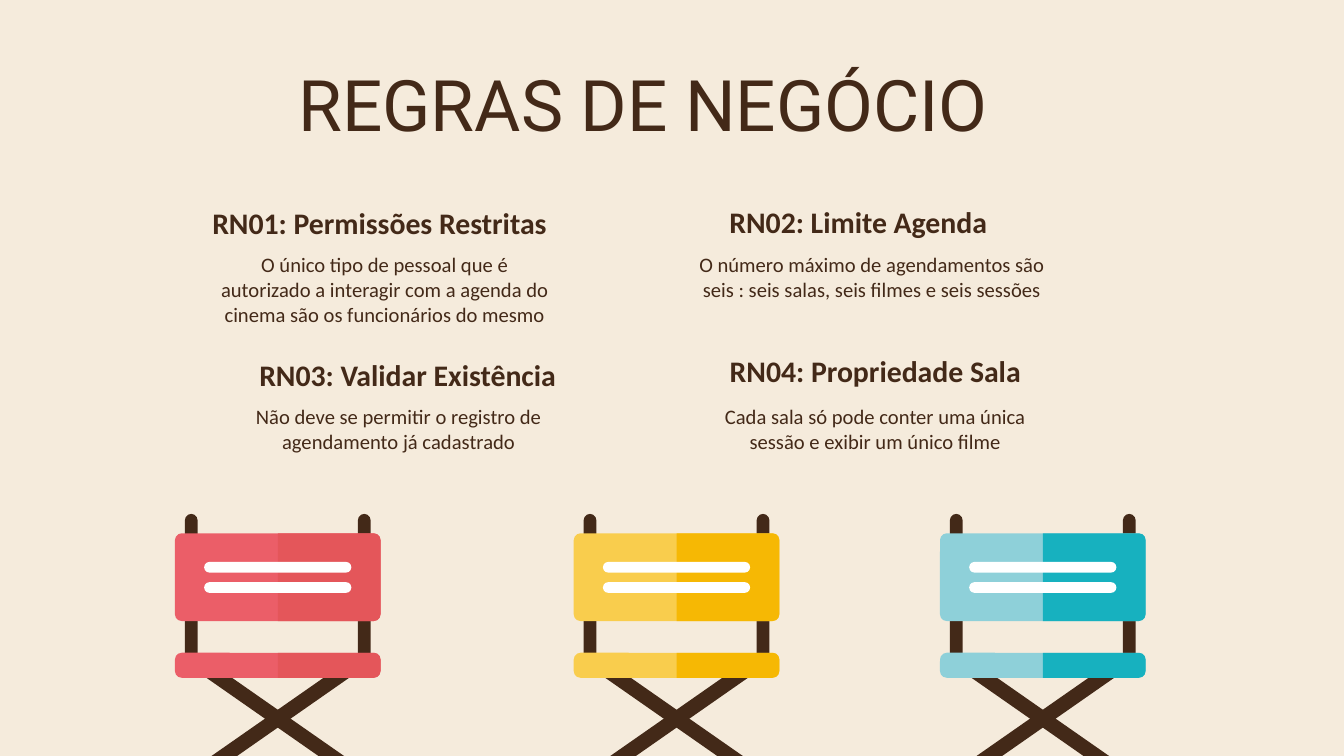
from dataclasses import dataclass

from pptx import Presentation
from pptx.dml.color import RGBColor
from pptx.enum.shapes import MSO_SHAPE as Preset
from pptx.enum.text import MSO_ANCHOR as Anchor, MSO_AUTO_SIZE as AutoSize, PP_ALIGN as Align
from pptx.oxml.ns import qn
from pptx.util import Cm, Pt


@dataclass(frozen=True)
class Theme:
    background: str = "F5EBDC"
    brown: str = "432918"
    white: str = "FFFFFF"
    title_font: str = "Roboto"
    text_font: str = "Calibri"
    title_size: float = 50.7
    heading_size: float = 21.3
    body_size: float = 14.7


THEME = Theme()

TITLE = ("REGRAS DE NEGÓCIO", (1.96, 2.01, 28.52, 1.19))
HEADING_HEIGHT, BODY_HEIGHT = 1.57, 2.31
RULES = [
    {
        "heading": ("RN01: Permissões Restritas", (4.27, 4.83, 10.59)),
        "body": ("O único tipo de pessoal que é autorizado a interagir com a agenda "
                 "do cinema são os funcionários do mesmo", (5.21, 6.02, 8.97)),
    },
    {
        "heading": ("RN02: Limite Agenda", (17.78, 4.8, 7.7)),
        "body": ("O número máximo de agendamentos são seis : seis salas, "
                 "seis filmes e seis sessões", (17.17, 6.02, 9.6)),
    },
    {
        "heading": ("RN03: Validar Existência", (5.79, 8.64, 8.97)),
        "body": ("Não deve se permitir o registro de agendamento já cadastrado",
                 (5.56, 9.86, 8.97)),
    },
    {
        "heading": ("RN04: Propriedade Sala", (17.35, 8.56, 9.42)),
        "body": ("Cada sala só pode conter uma única sessão e exibir um único filme",
                 (17.7, 9.86, 8.71)),
    },
]

CHAIRS = [
    (4.41, "EB5E68", "E4565A"),
    (14.46, "F9CD4D", "F6B804"),
    (23.69, "8ED0D9", "17B1BF"),
]
CHAIR_WIDTH = 5.18
CORNER = 0.17
POST_WIDTH, POST_TOP, POST_HEIGHT, POST_INSET = 0.32, 12.95, 3.81, 0.25
LEG_LENGTH, LEG_WIDTH, LEG_CENTER, LEG_ANGLE = 4.5, 0.37, 18.11, 34.9
CANVASES = [(13.44, 2.21), (16.45, 0.63)]
STRIPE_WIDTH, STRIPE_HEIGHT, STRIPE_TOPS = 3.71, 0.27, (14.16, 14.67)


def write_text(box, text, area, size, font=THEME.text_font, bold=False, anchor=Anchor.TOP):
    box.left, box.top, box.width, box.height = map(Cm, area)
    frame = box.text_frame
    frame.word_wrap = True
    frame.auto_size = AutoSize.NONE
    frame.vertical_anchor = anchor
    frame.margin_left = frame.margin_right = frame.margin_top = frame.margin_bottom = Cm(0.33)
    para = frame.paragraphs[0]
    para.alignment = Align.CENTER
    para.space_before = Pt(0)
    properties = para._p.get_or_add_pPr()
    properties.set("marL", "0")
    properties.set("indent", "0")
    properties.append(properties.makeelement(qn("a:buNone"), {}))
    span = para.add_run()
    span.text = text
    span.font.name = font
    span.font.size = Pt(size)
    span.font.bold = bold
    span.font.color.rgb = RGBColor.from_string(THEME.brown)


def add_bar(group, area, color, radius=None, preset=Preset.ROUNDED_RECTANGLE, angle=0):
    bar = group.shapes.add_shape(preset, *map(Cm, area))
    short_side = min(area[2:])
    bar.adjustments[0] = 0.5 if radius is None else radius / short_side
    bar.rotation = angle
    bar.shadow.inherit = False
    bar.fill.solid()
    bar.fill.fore_color.rgb = RGBColor.from_string(color)
    bar.line.fill.background()


def add_chair(page, left, light, dark):
    chair = page.shapes.add_group_shape()
    middle = left + CHAIR_WIDTH / 2
    for post_left in (left + POST_INSET, left + CHAIR_WIDTH - POST_INSET - POST_WIDTH):
        add_bar(chair, (post_left, POST_TOP, POST_WIDTH, POST_HEIGHT), THEME.brown)
    leg = (middle - LEG_LENGTH / 2, LEG_CENTER - LEG_WIDTH / 2, LEG_LENGTH, LEG_WIDTH)
    for angle in (LEG_ANGLE, -LEG_ANGLE):
        add_bar(chair, leg, THEME.brown, angle=angle)
    half = CHAIR_WIDTH / 2
    for top, height in CANVASES:
        add_bar(chair, (left, top, CHAIR_WIDTH, height), light, CORNER)
        turned = (middle + (half - height) / 2, top + (height - half) / 2, height, half)
        add_bar(chair, turned, dark, CORNER, Preset.ROUND_2_SAME_RECTANGLE, 90)
    for top in STRIPE_TOPS:
        add_bar(chair, (middle - STRIPE_WIDTH / 2, top, STRIPE_WIDTH, STRIPE_HEIGHT), THEME.white)


def main():
    deck = Presentation()
    deck.slide_width, deck.slide_height = Cm(33.87), Cm(19.05)
    page = deck.slides.add_slide(deck.slide_layouts.get_by_name("Comparison"))
    page.background.fill.solid()
    page.background.fill.fore_color.rgb = RGBColor.from_string(THEME.background)

    title, *holders = page.placeholders
    for chair in CHAIRS:
        add_chair(page, *chair)

    write_text(title, *TITLE, THEME.title_size, font=THEME.title_font, anchor=Anchor.MIDDLE)
    boxes = iter(holders + [page.shapes.add_textbox(0, 0, 0, 0) for _ in holders])
    for rule in RULES:
        text, area = rule["heading"]
        write_text(next(boxes), text, (*area, HEADING_HEIGHT), THEME.heading_size,
                   bold=True, anchor=Anchor.BOTTOM)
        text, area = rule["body"]
        write_text(next(boxes), text, (*area, BODY_HEIGHT), THEME.body_size)

    deck.save("out.pptx")


if __name__ == "__main__":
    main()
